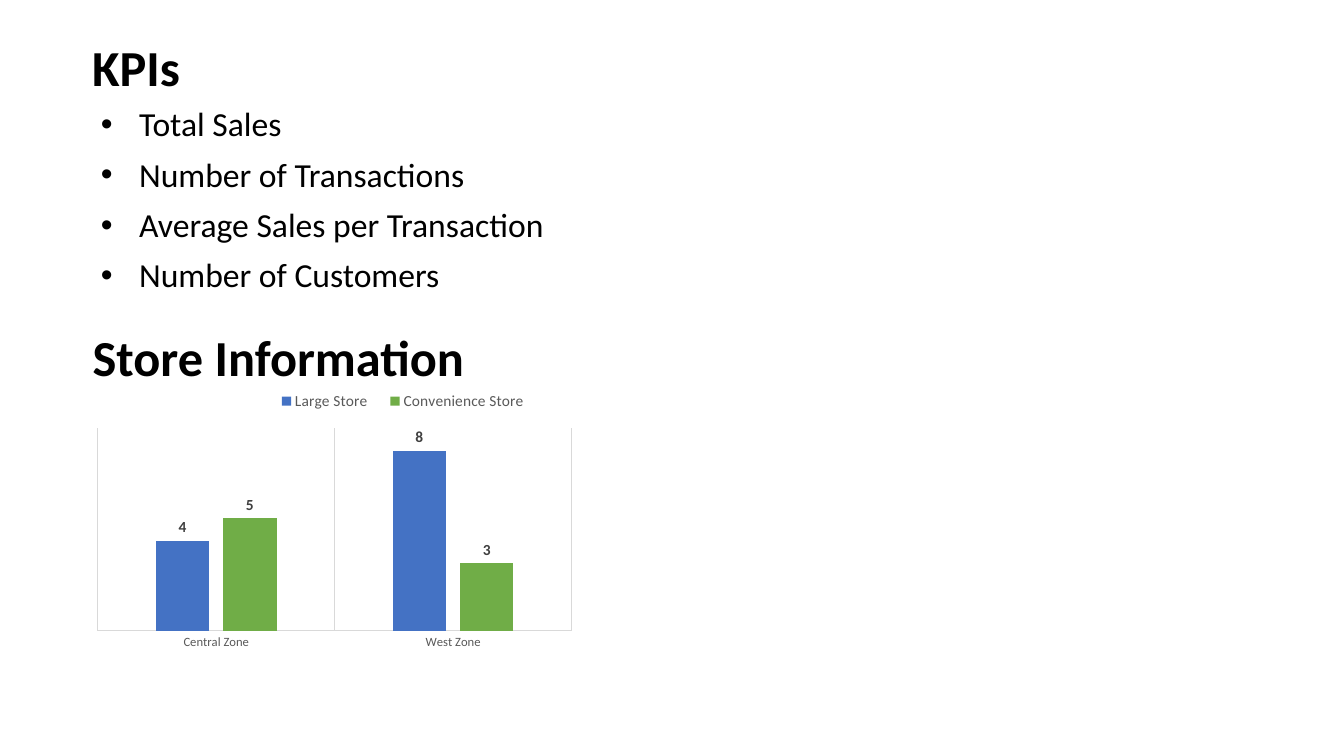
import pptx
import pptx.util
import pptx.chart.data
import pptx.dml.color
import pptx.enum.chart
import pptx.enum.text
import pptx.oxml
import pptx.oxml.ns

RGBColor = pptx.dml.color.RGBColor
BLACK = RGBColor(0x00, 0x00, 0x00)
GREY = RGBColor(0x59, 0x59, 0x59)
DARK = RGBColor(0x40, 0x40, 0x40)
RULE = RGBColor(0xD9, 0xD9, 0xD9)
BLUE = RGBColor(0x44, 0x72, 0xC4)
GREEN = RGBColor(0x70, 0xAD, 0x47)

FONT = "Calibri"
PX = 9144
TITLE = "KPIs"
KPIS = ["Total Sales", "Number of Transactions",
        "Average Sales per Transaction", "Number of Customers"]
HEADING = "Store Information"
ZONES = ["Central Zone", "West Zone"]
STORES = [("Large Store", (4, 8), BLUE), ("Convenience Store", (5, 3), GREEN)]
TITLE_BOX = (-17, 17, 304, 85)
KPI_BOX = (90, 102, 789, 216)
HEADING_BOX = (82, 319, 675, 71)
CHART_BOX = (82, 359, 500, 300)
PLOT_AREA = (0.03, 0.22, 0.94, 0.67)
LEGEND_AREA = (0.36, 0.08, 0.55, 0.1)


def emu(box):
    return [pptx.util.Emu(v * PX) for v in box]


def place(sp, box):
    sp.left, sp.top, sp.width, sp.height = emu(box)


def set_font(font, size, color, bold=False):
    font.name, font.size, font.bold = FONT, pptx.util.Pt(size), bold
    font.color.rgb = color


def write(tf, text, size=36, bold=False, align=pptx.enum.text.PP_ALIGN.LEFT,
          anchor=pptx.enum.text.MSO_ANCHOR.TOP, spacing=None, before=0, bullet=None):
    tf.word_wrap = True
    tf.auto_size = pptx.enum.text.MSO_AUTO_SIZE.NONE
    tf.vertical_anchor = anchor
    tf.text = text
    for p in tf.paragraphs:
        p.alignment = align
        p.line_spacing = spacing
        p.space_before = pptx.util.Pt(before)
        set_font(p.runs[0].font, size, BLACK, bold)
        if bullet:
            pr = p._p.get_or_add_pPr()
            pr.set("marL", str(38 * PX))
            pr.set("indent", str(-38 * PX))
            ns = pptx.oxml.ns.nsdecls("a")
            pr.append(pptx.oxml.parse_xml(f'<a:buFont {ns} typeface="Arial"/>'))
            pr.append(pptx.oxml.parse_xml(f'<a:buChar {ns} char="{bullet}"/>'))


def layout(area, target=""):
    x, y, w, h = area
    return pptx.oxml.parse_xml(
        f'<c:layout {pptx.oxml.ns.nsdecls("c")}><c:manualLayout>{target}'
        '<c:xMode val="edge"/><c:yMode val="edge"/>'
        f'<c:x val="{x}"/><c:y val="{y}"/><c:w val="{w}"/><c:h val="{h}"/>'
        '</c:manualLayout></c:layout>')


def add_store_chart(s):
    data = pptx.chart.data.CategoryChartData()
    data.categories = ZONES
    for name, values, color in STORES:
        data.add_series(name, values)
    kind = pptx.enum.chart.XL_CHART_TYPE.COLUMN_CLUSTERED
    chart = s.shapes.add_chart(kind, *emu(CHART_BOX), data).chart
    set_font(chart.font, 10, BLACK)
    chart.has_title = False

    chart.has_legend = True
    chart.legend.position = pptx.enum.chart.XL_LEGEND_POSITION.TOP
    chart.legend.include_in_layout = False
    set_font(chart.legend.font, 11, GREY)

    axis = chart.category_axis
    axis.major_tick_mark = pptx.enum.chart.XL_TICK_MARK.NONE
    axis.has_major_gridlines = True
    set_font(axis.tick_labels.font, 9, GREY)
    for line in (axis.format.line, axis.major_gridlines.format.line):
        line.color.rgb = RULE
        line.width = pptx.util.Pt(0.75)
    chart.value_axis.has_major_gridlines = False
    chart.value_axis.minimum_scale = 0
    chart.value_axis.maximum_scale = 9
    chart.value_axis.visible = False

    plot = chart.plots[0]
    plot.vary_by_categories = False
    plot.gap_width = 219
    plot.overlap = -27
    for series, (name, values, color) in zip(plot.series, STORES):
        series.format.fill.solid()
        series.format.fill.fore_color.rgb = color
        labels = series.data_labels
        labels.show_value = True
        labels.position = pptx.enum.chart.XL_LABEL_POSITION.OUTSIDE_END
        set_font(labels.font, 11, DARK, True)

    for old in chart.element.xpath(".//c:plotArea/c:layout | .//c:legend/c:layout"):
        old.getparent().remove(old)
    inner = '<c:layoutTarget val="inner"/>'
    chart.element.xpath(".//c:plotArea")[0].insert(0, layout(PLOT_AREA, inner))
    chart.element.xpath(".//c:legendPos")[0].addnext(layout(LEGEND_AREA))


def main():
    prs = pptx.Presentation()
    prs.slide_width = pptx.util.Inches(13.33)
    prs.slide_height = pptx.util.Inches(7.5)
    s = prs.slides.add_slide(prs.slide_layouts[0])
    title, body = s.placeholders
    place(title, TITLE_BOX)
    write(title.text_frame, TITLE, bold=True, spacing=0.9,
          align=pptx.enum.text.PP_ALIGN.CENTER,
          anchor=pptx.enum.text.MSO_ANCHOR.BOTTOM)
    place(body, KPI_BOX)
    write(body.text_frame, "\n".join(KPIS), size=24, spacing=0.9, before=10, bullet="•")
    heading = s.shapes.add_textbox(*emu(HEADING_BOX))
    write(heading.text_frame, HEADING, bold=True)
    add_store_chart(s)
    prs.save("out.pptx")


if __name__ == "__main__":
    main()
